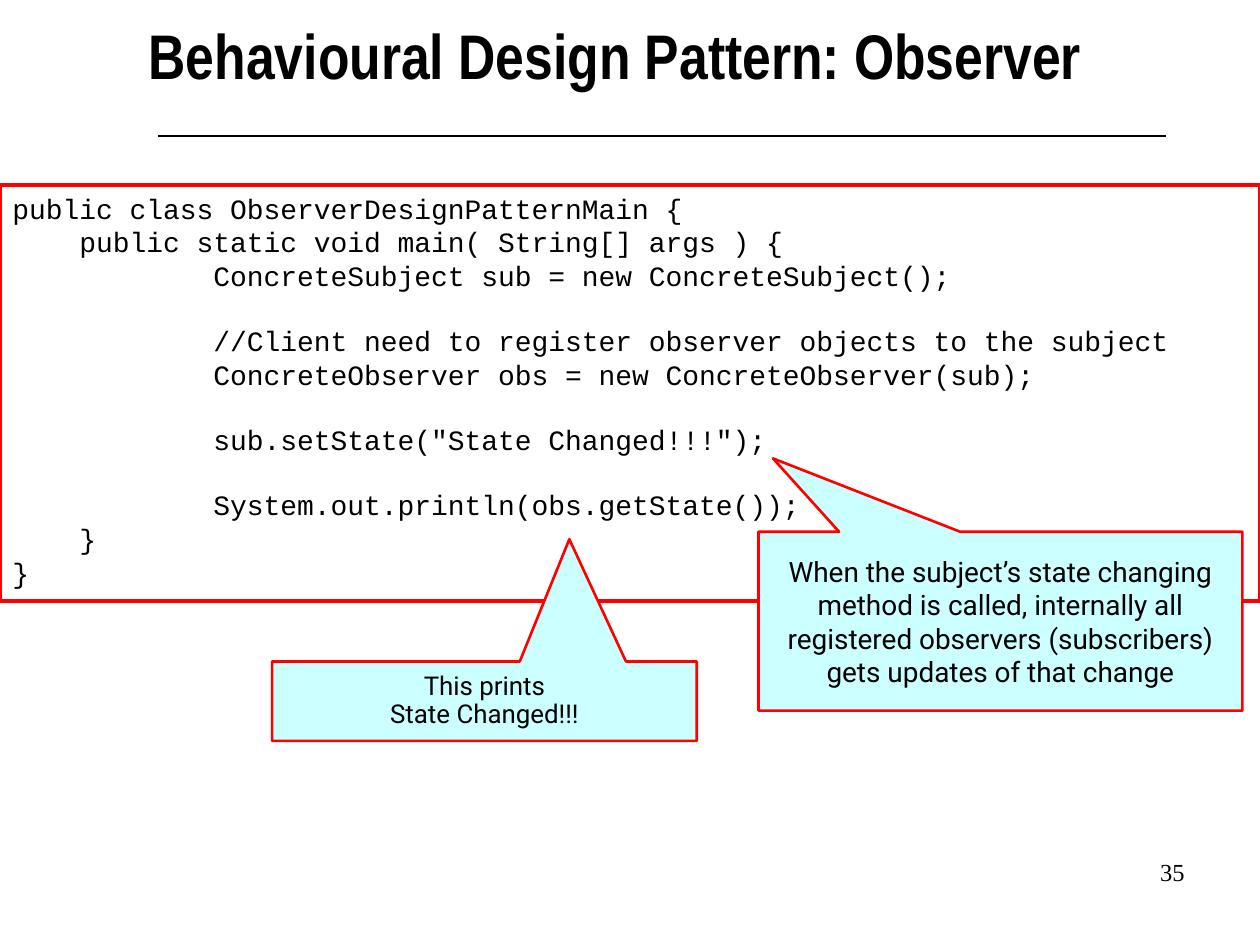
from pptx import Presentation
from pptx.dml.color import RGBColor
from pptx.enum.shapes import MSO_CONNECTOR as Connector, MSO_SHAPE as Shape
from pptx.enum.text import MSO_ANCHOR as Anchor, PP_ALIGN as Align
from pptx.oxml.ns import qn
from pptx.util import Inches, Pt
from lxml.etree import SubElement

COLORS = {"ink": "000000", "paper": "FFFFFF", "border": "FF0000", "note": "CCFFFF"}
CODE_LINE_HEIGHT = 18.1

CODE = """\
public class ObserverDesignPatternMain {
    public static void main( String[] args ) {
            ConcreteSubject sub = new ConcreteSubject();

            //Client need to register observer objects to the subject
            ConcreteObserver obs = new ConcreteObserver(sub);

            sub.setState("State Changed!!!");

            System.out.println(obs.getState());
    }
}"""


def color(name):
    return RGBColor.from_string(COLORS[name])


class SlideBuilder:
    def __init__(self, page):
        self.page = page

    def add_text(self, para, text, font, size, bold=False, align=Align.LEFT):
        para.alignment = align
        span = para.add_run()
        span.text = text
        span.font.name = font
        span.font.size = Pt(size)
        span.font.bold = bold
        span.font.color.rgb = color("ink")

    def paragraphs(self, frame, count):
        return [frame.paragraphs[0]] + [frame.add_paragraph() for _ in range(count - 1)]

    def title(self, text, *place):
        box = self.page.shapes.title
        box.left, box.top, box.width, box.height = map(Inches, place)
        frame = box.text_frame
        frame.margin_left = frame.margin_right = 0
        frame.margin_top = frame.margin_bottom = 0
        frame.vertical_anchor = Anchor.TOP
        frame.word_wrap = True
        self.add_text(frame.paragraphs[0], text, "Arial Narrow", 36, bold=True)

    def rule(self, *ends):
        line = self.page.shapes.add_connector(Connector.STRAIGHT, *map(Inches, ends))
        line.line.color.rgb = color("ink")
        line.line.width = Pt(0.75)
        SubElement(line._element.spPr, qn("a:effectLst"))

    def page_number(self, text, *place):
        box = self.page.shapes.add_textbox(*map(Inches, place))
        box.text_frame.word_wrap = True
        self.add_text(box.text_frame.paragraphs[0], text, "Times New Roman", 14,
                      align=Align.RIGHT)

    def panel(self, kind, place, fill, width, anchor):
        box = self.page.shapes.add_shape(kind, *map(Inches, place))
        box.shadow.inherit = False
        box.fill.solid()
        box.fill.fore_color.rgb = color(fill)
        box.line.color.rgb = color("border")
        box.line.width = Pt(width)
        box.text_frame.word_wrap = True
        box.text_frame.vertical_anchor = anchor
        return box

    def code(self, source, *place):
        frame = self.panel(Shape.RECTANGLE, place, "paper", 2, Anchor.TOP).text_frame
        lines = source.splitlines()
        filled = [i for i, line in enumerate(lines) if line]
        for para, i in zip(self.paragraphs(frame, len(filled)), filled):
            # An empty source line becomes one line of space
            if i and not lines[i - 1]:
                para.space_before = Pt(CODE_LINE_HEIGHT)
            self.add_text(para, lines[i], "Courier New", 16)

    def callout(self, lines, place, tip, size, spacing=None):
        box = self.panel(Shape.RECTANGULAR_CALLOUT, place, "note", 1.5, Anchor.MIDDLE)
        box.adjustments[0], box.adjustments[1] = tip
        for para, text in zip(self.paragraphs(box.text_frame, len(lines)), lines):
            para.line_spacing = spacing
            self.add_text(para, text, "Roboto", size, align=Align.CENTER)


def main():
    deck = Presentation()
    deck.slide_width, deck.slide_height = Inches(10), Inches(7.5)
    builder = SlideBuilder(deck.slides.add_slide(deck.slide_layouts[5]))

    # Heading and page number
    builder.rule(1.25, 1.08, 9.25, 1.08)
    builder.page_number("35", 7.42, 6.75, 2.08, 0.5)
    builder.title("Behavioural Design Pattern: Observer", 1.18, 0.13, 7.65, 0.75)

    # Code listing
    builder.code(CODE, 0, 1.47, 10, 3.3)

    # Callouts pointing into the code
    builder.callout(
        ["When the subject’s state changing method is called, internally all "
         "registered observers (subscribers) gets updates of that change"],
        (6.02, 4.22, 3.84, 1.42), (-0.47, -0.91), 16)
    builder.callout(["This prints", "State Changed!!!"],
                    (2.16, 5.25, 3.37, 0.63), (0.2, -2.04), 14.8, spacing=0.9)

    deck.save("out.pptx")


if __name__ == "__main__":
    main()
